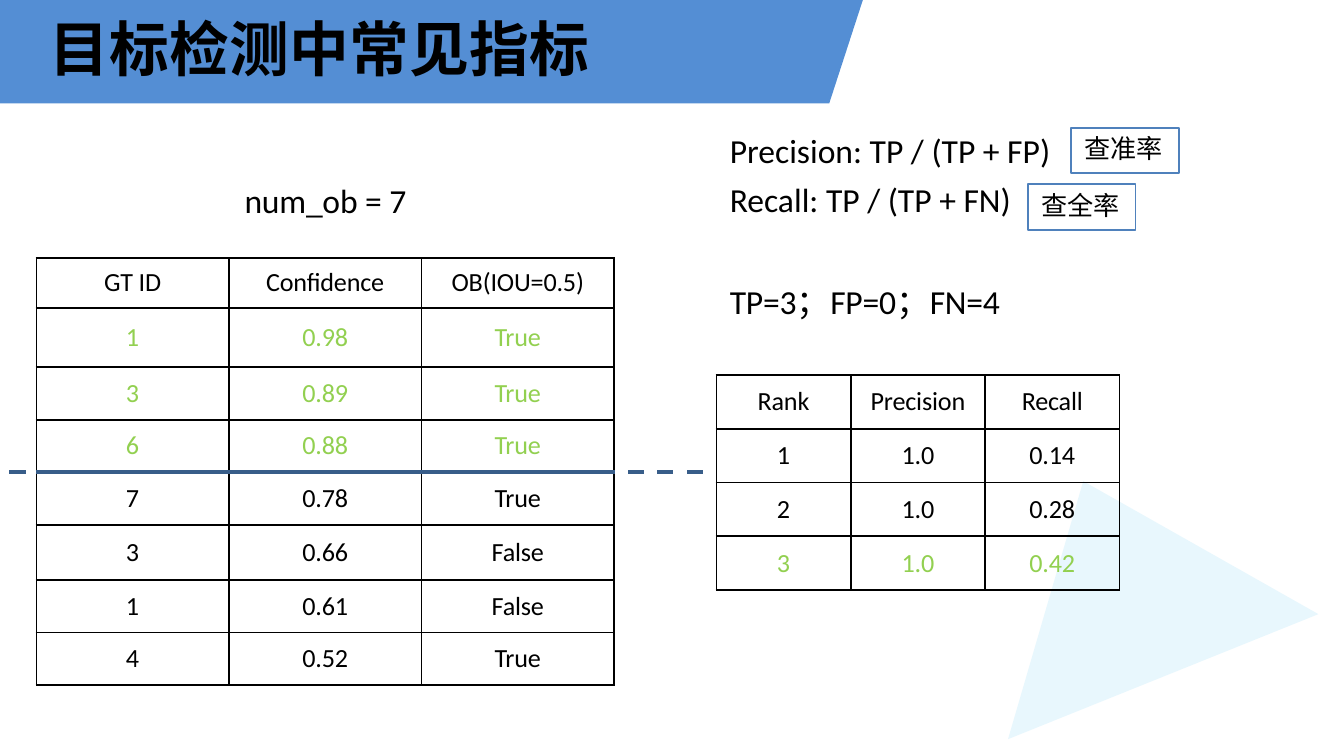
from dataclasses import dataclass

from lxml.etree import SubElement
from pptx import Presentation
from pptx.dml.color import RGBColor
from pptx.enum.shapes import MSO_SHAPE
from pptx.enum.text import MSO_ANCHOR, MSO_AUTO_SIZE, PP_ALIGN
from pptx.oxml import parse_xml
from pptx.oxml.ns import nsdecls, qn
from pptx.util import Inches, Pt


@dataclass(frozen=True)
class Theme:
    ink: str = "000000"
    banner: str = "548ED4"
    accent: str = "00AFEF"
    frame: str = "4F81BC"
    cut: str = "385D89"
    hit: str = "92D050"
    latin: str = "Calibri"
    cjk: str = "Noto Sans CJK SC"
    title_font: str = "Noto Sans CJK TC"
    title_size: int = 32
    body_size: int = 18
    small_size: int = 14


THEME = Theme()


def add_run(paragraph, text, font, size, color=THEME.ink, bold=False, spacing=0):
    run = paragraph.add_run()
    run.text = text
    run.font.size, run.font.bold = Pt(size), bold
    run.font.color.rgb = RGBColor.from_string(color)
    run.font.name = font
    properties = run._r.get_or_add_rPr()
    SubElement(properties, qn("a:ea")).set("typeface", font)
    properties.set("spc", str(round(spacing * 100)))


def set_frame(frame, anchor):
    frame.word_wrap = True
    frame.auto_size = MSO_AUTO_SIZE.NONE
    frame.vertical_anchor = anchor
    frame.margin_right = frame.margin_bottom = 0
    frame.margin_left = frame.margin_top = Inches(0.01)


def add_text(slide, box, runs, size, anchor=MSO_ANCHOR.MIDDLE):
    """Each run is (text, font, letter spacing in points)."""
    frame = slide.shapes.add_textbox(*map(Inches, box)).text_frame
    set_frame(frame, anchor)
    for text, font, spacing in runs:
        add_run(frame.paragraphs[0], text, font, size, spacing=spacing)


def add_polygon(slide, points, color, alpha=None):
    start, *rest = [(Inches(x), Inches(y)) for x, y in points]
    builder = slide.shapes.build_freeform(*start)
    builder.add_line_segments(rest, close=True)
    polygon = builder.convert_to_shape()
    polygon.shadow.inherit = False
    polygon.fill.solid()
    polygon.fill.fore_color.rgb = RGBColor.from_string(color)
    polygon.line.fill.background()
    if alpha is not None:
        fill_color = polygon.element.spPr.find(".//" + qn("a:srgbClr"))
        SubElement(fill_color, qn("a:alpha")).set("val", str(alpha * 1000))


def add_header(slide, box, text):
    left, top, width, height = box
    slant = 0.25
    add_polygon(slide, [(left, top), (left + width, top),
                        (left + width - slant, top + height), (left, top + height)],
                THEME.banner)
    title = slide.shapes.title
    title.left, title.top = Inches(left + 0.36), Inches(top + 0.07)
    title.width, title.height = Inches(4.05), Inches(0.56)
    set_frame(title.text_frame, MSO_ANCHOR.MIDDLE)
    paragraph = title.text_frame.paragraphs[0]
    paragraph.alignment = PP_ALIGN.LEFT
    add_run(paragraph, text, THEME.title_font, THEME.title_size, bold=True, spacing=0.1)
    # Bring the title in front of its banner
    title.element.getparent().append(title.element)


def set_borders(cell, **special):
    """Black borders of 1 pt, except sides given as (color, points)."""
    for index, side in enumerate("LRTB"):
        color, points = special.get(side, (THEME.ink, 1))
        cell._tc.get_or_add_tcPr().insert(index, parse_xml(
            f'<a:ln{side} {nsdecls("a")} w="{Pt(points)}"><a:solidFill>'
            f'<a:srgbClr val="{color}"/></a:solidFill></a:ln{side}>'))


def add_grid(slide, box, rows, row_weights, hit_rows, cut_after=None):
    table = slide.shapes.add_table(len(rows), len(rows[0]), *map(Inches, box)).table
    table.first_row = table.horz_banding = False
    for column in table.columns:
        column.width = Inches(box[2] / len(rows[0]))
    cut_line = (THEME.cut, 2.25)
    special_rows = {}
    if cut_after is not None:
        special_rows = {cut_after: {"B": cut_line}, cut_after + 1: {"T": cut_line}}
    for r, values in enumerate(rows):
        table.rows[r].height = Inches(box[3] * row_weights[r] / sum(row_weights))
        for c, value in enumerate(values):
            cell = table.cell(r, c)
            cell.margin_left = cell.margin_right = cell.margin_top = cell.margin_bottom = 0
            cell.vertical_anchor = MSO_ANCHOR.MIDDLE
            cell.fill.background()
            set_borders(cell, **special_rows.get(r, {}))
            paragraph = cell.text_frame.paragraphs[0]
            paragraph.alignment = PP_ALIGN.CENTER
            add_run(paragraph, value, THEME.latin, THEME.small_size,
                    THEME.hit if r in hit_rows else THEME.ink, spacing=-0.1)


def add_tag(slide, box, text):
    left, top, width, height = box
    frame = slide.shapes.add_shape(MSO_SHAPE.RECTANGLE, *map(Inches, box))
    frame.shadow.inherit = False
    frame.fill.background()
    frame.line.color.rgb = RGBColor.from_string(THEME.frame)
    frame.line.width = Pt(1)
    add_text(slide, (left + 0.09, top + 0.02, width - 0.18, 0.26),
             [(text, THEME.cjk, 0)], THEME.small_size)


def add_detections(slide, box):
    left, top, width, _ = box
    add_text(slide, (left + 1.54, top - 0.6, 1.24, 0.33),
             [("num_ob ", THEME.latin, -0.1), ("= 7", THEME.latin, 0)], THEME.body_size)
    rows = [("GT ID", "Confidence", "OB(IOU=0.5)"),
            ("1", "0.98", "True"), ("3", "0.89", "True"), ("6", "0.88", "True"),
            ("7", "0.78", "True"), ("3", "0.66", "False"), ("1", "0.61", "False"),
            ("4", "0.52", "True")]
    weights = [0.37, 0.44, 0.39, 0.39, 0.39, 0.41, 0.39, 0.39]
    add_grid(slide, box, rows, weights, hit_rows=(1, 2, 3), cut_after=3)
    # Dashes that carry the cut line past the table
    right = left + width + 0.1
    cut_top = top + 1.58
    for x in [left - 0.2] + [right + 0.22 * i for i in range(3)]:
        add_polygon(slide, [(x, cut_top), (x + 0.12, cut_top),
                            (x + 0.12, cut_top + 0.03), (x, cut_top + 0.03)], THEME.cut)


def add_formulas(slide, box):
    left, top, width, height = box
    formulas = [("Precision: TP / (TP + FP)", 2.41, "查准率", 2.55, 0),
                ("Recall: TP / (TP + FN)", 2.12, "查全率", 2.23, 0.06)]
    for i, (formula, formula_width, tag, tag_left, drop) in enumerate(formulas):
        y = top + 0.36 * i
        add_text(slide, (left, y, formula_width, 0.33),
                 [(formula, THEME.latin, 0)], THEME.body_size)
        add_tag(slide, (left + tag_left, y + drop, 0.8, 0.34), tag)
    # Counts, wrapping onto a second line
    semicolon = ("；", THEME.cjk, -0.1)
    counts = [("TP=3", THEME.latin, -0.1), semicolon,
              ("FP=0", THEME.latin, -0.1), semicolon, ("FN=4", THEME.latin, -0.1)]
    add_text(slide, (left, top + 1.13, 2.05, 0.33), counts, THEME.body_size, MSO_ANCHOR.TOP)


def add_ranking(slide, box):
    rows = [("Rank", "Precision", "Recall"), ("1", "1.0", "0.14"),
            ("2", "1.0", "0.28"), ("3", "1.0", "0.42")]
    add_grid(slide, box, rows, [1] * len(rows), hit_rows=(3,))


def main():
    deck = Presentation()
    # Widescreen, 16 to 9
    deck.slide_width, deck.slide_height = Inches(10), Inches(10 * 9 / 16)
    slide = deck.slides.add_slide(deck.slide_layouts[5])
    add_header(slide, (0, 0, 6.42, 0.77), "目标检测中常见指标")
    # Pale corner triangle
    add_polygon(slide, [(7.5, 5.5), (8.06, 3.58), (9.81, 4.57)], THEME.accent, alpha=9)
    add_detections(slide, (0.27, 1.92, 4.3, 3.18))
    add_formulas(slide, (5.42, 0.95, 3.35, 1.45))
    add_ranking(slide, (5.33, 2.79, 3, 1.6))
    deck.save("out.pptx")


if __name__ == "__main__":
    main()
